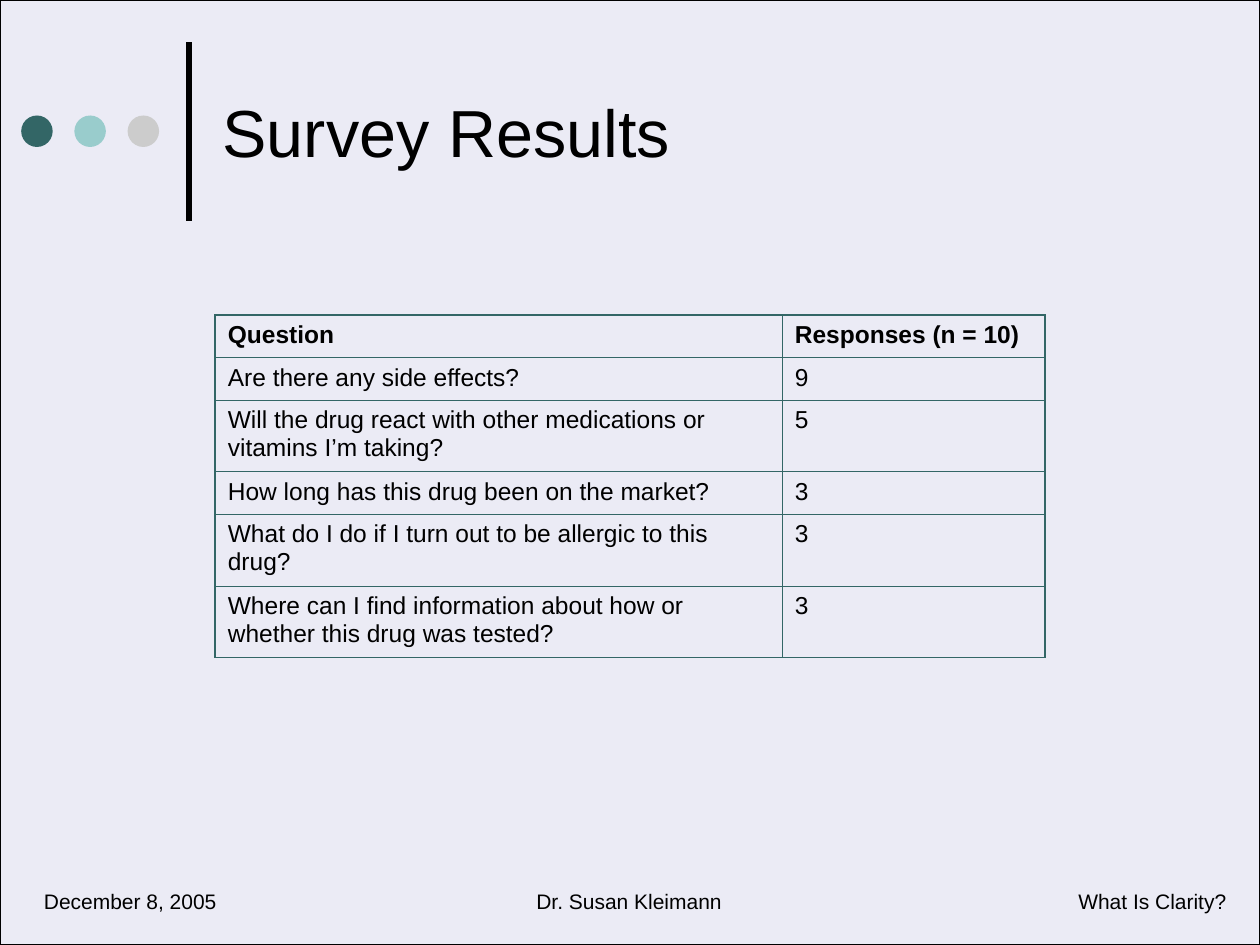
from dataclasses import dataclass

from lxml import etree
from pptx import Presentation
from pptx.dml.color import RGBColor
from pptx.enum import shapes, text
from pptx.oxml import ns
from pptx.util import Pt

NAVY = RGBColor(0x00, 0x00, 0x80)
BLACK = RGBColor(0x00, 0x00, 0x00)
WHITE = RGBColor(0xFF, 0xFF, 0xFF)
TEAL = RGBColor(0x33, 0x66, 0x66)
AQUA = RGBColor(0x99, 0xCC, 0xCC)
GREY = RGBColor(0xCC, 0xCC, 0xCC)

FONT = "Arial"
WIDTH, HEIGHT = 720, 540
DOT_SIZE, DOT_LEFT, DOT_TOP, DOT_STEP = 18, 12.1, 66, 30.4
TABLE_LEFT, TABLE_TOP = 123, 180
COLUMN_WIDTHS = (324, 150)
OUTER_BORDER, INNER_BORDER = 1.08, 0.45


@dataclass(frozen=True)
class SurveyRow:
    question: str
    responses: str
    height: float = 24.3


@dataclass(frozen=True)
class FooterItem:
    wording: str
    left: float
    width: float


SURVEY = (
    SurveyRow("Question", "Responses (n = 10)"),
    SurveyRow("Are there any side effects?", "9"),
    SurveyRow("Will the drug react with other medications or vitamins I’m taking?", "5", 41),
    SurveyRow("How long has this drug been on the market?", "3"),
    SurveyRow("What do I do if I turn out to be allergic to this drug?", "3", 41),
    SurveyRow("Where can I find information about how or whether this drug was tested?", "3", 41),
)
FOOTER = (
    FooterItem("What Is Clarity?", 609, 99),
    FooterItem("December 8, 2005", 18, 113),
    FooterItem("Dr. Susan Kleimann", 299, 121),
)


def style_font(paragraph, size: float, bold: bool = False) -> None:
    font = paragraph.font
    font.name, font.size, font.bold = FONT, Pt(size), bold
    font.color.rgb = BLACK


def add_filled(slide, kind, left: float, top: float, width: float, height: float, color: RGBColor):
    """Add a flat preset shape without an outline."""
    shape = slide.shapes.add_shape(kind, Pt(left), Pt(top), Pt(width), Pt(height))
    shape.shadow.inherit = False
    shape.fill.solid()
    shape.fill.fore_color.rgb = color
    shape.line.fill.background()
    return shape


def add_tint(slide) -> None:
    """Cover the slide with a nearly transparent navy sheet and a thin frame."""
    tint = add_filled(slide, shapes.MSO_SHAPE.RECTANGLE, 0, 0, WIDTH, HEIGHT, NAVY)
    tint.line.color.rgb = BLACK
    tint.line.width = Pt(0.75)
    color = tint.element.spPr.find(f"{ns.qn('a:solidFill')}/{ns.qn('a:srgbClr')}")
    etree.SubElement(color, ns.qn("a:alpha"), val="8000")


def add_ornament(slide) -> None:
    """Draw the upright rule and the row of dots beside the title."""
    rule = slide.shapes.add_connector(
        shapes.MSO_CONNECTOR.STRAIGHT, Pt(108), Pt(126), Pt(108), Pt(24))
    rule.line.color.rgb = BLACK
    rule.line.width = Pt(3)
    etree.SubElement(rule.element.spPr, ns.qn("a:effectLst"))
    for index, color in enumerate((TEAL, AQUA, GREY)):
        add_filled(slide, shapes.MSO_SHAPE.OVAL, DOT_LEFT + index * DOT_STEP, DOT_TOP,
                   DOT_SIZE, DOT_SIZE, color)


def place_title(slide, wording: str) -> None:
    title = slide.shapes.title
    title.left, title.top, title.width, title.height = Pt(120), Pt(15), Pt(552), Pt(120)
    title.element.getparent().append(title.element)  # in front of the tint
    frame = title.text_frame
    frame.text = wording
    frame.vertical_anchor = text.MSO_ANCHOR.MIDDLE
    frame.auto_size = text.MSO_AUTO_SIZE.NONE
    frame.paragraphs[0].alignment = text.PP_ALIGN.LEFT
    style_font(frame.paragraphs[0], 38)


def add_footer_item(slide, item: FooterItem) -> None:
    box = slide.shapes.add_textbox(Pt(item.left), Pt(504), Pt(item.width), Pt(21.6))
    frame = box.text_frame
    frame.word_wrap = False
    frame.auto_size = text.MSO_AUTO_SIZE.SHAPE_TO_FIT_TEXT
    frame.text = item.wording
    frame.paragraphs[0].alignment = text.PP_ALIGN.CENTER
    style_font(frame.paragraphs[0], 12)


def set_borders(cell, widths: dict[str, float]) -> None:
    properties = cell._tc.get_or_add_tcPr()
    for position, (side, width) in enumerate(widths.items()):
        edge = etree.Element(ns.qn(f"a:{side}"), w=str(Pt(width)))
        fill = etree.SubElement(edge, ns.qn("a:solidFill"))
        etree.SubElement(fill, ns.qn("a:srgbClr"), val=str(TEAL))
        properties.insert(position, edge)


def add_survey(slide) -> None:
    table = slide.shapes.add_table(
        len(SURVEY), len(COLUMN_WIDTHS), Pt(TABLE_LEFT), Pt(TABLE_TOP),
        Pt(sum(COLUMN_WIDTHS)), Pt(sum(row.height for row in SURVEY))).table
    table.first_row = table.horz_banding = False
    for column, width in zip(table.columns, COLUMN_WIDTHS):
        column.width = Pt(width)
    for row_index, row in enumerate(SURVEY):
        table.rows[row_index].height = Pt(row.height)
        for column_index, wording in enumerate((row.question, row.responses)):
            cell = table.cell(row_index, column_index)
            cell.text = wording
            cell.fill.background()
            style_font(cell.text_frame.paragraphs[0], 14, bold=row_index == 0)
            set_borders(cell, {
                "lnL": OUTER_BORDER if column_index == 0 else INNER_BORDER,
                "lnR": OUTER_BORDER if column_index == 1 else INNER_BORDER,
                "lnT": OUTER_BORDER if row_index == 0 else INNER_BORDER,
                "lnB": INNER_BORDER,
            })


def main() -> None:
    deck = Presentation()
    deck.slide_width, deck.slide_height = Pt(WIDTH), Pt(HEIGHT)
    slide = deck.slides.add_slide(deck.slide_layouts[5])
    slide.background.fill.solid()
    slide.background.fill.fore_color.rgb = WHITE
    add_tint(slide)
    add_ornament(slide)
    place_title(slide, "Survey Results")
    for item in FOOTER:
        add_footer_item(slide, item)
    add_survey(slide)
    deck.save("out.pptx")


if __name__ == "__main__":
    main()
